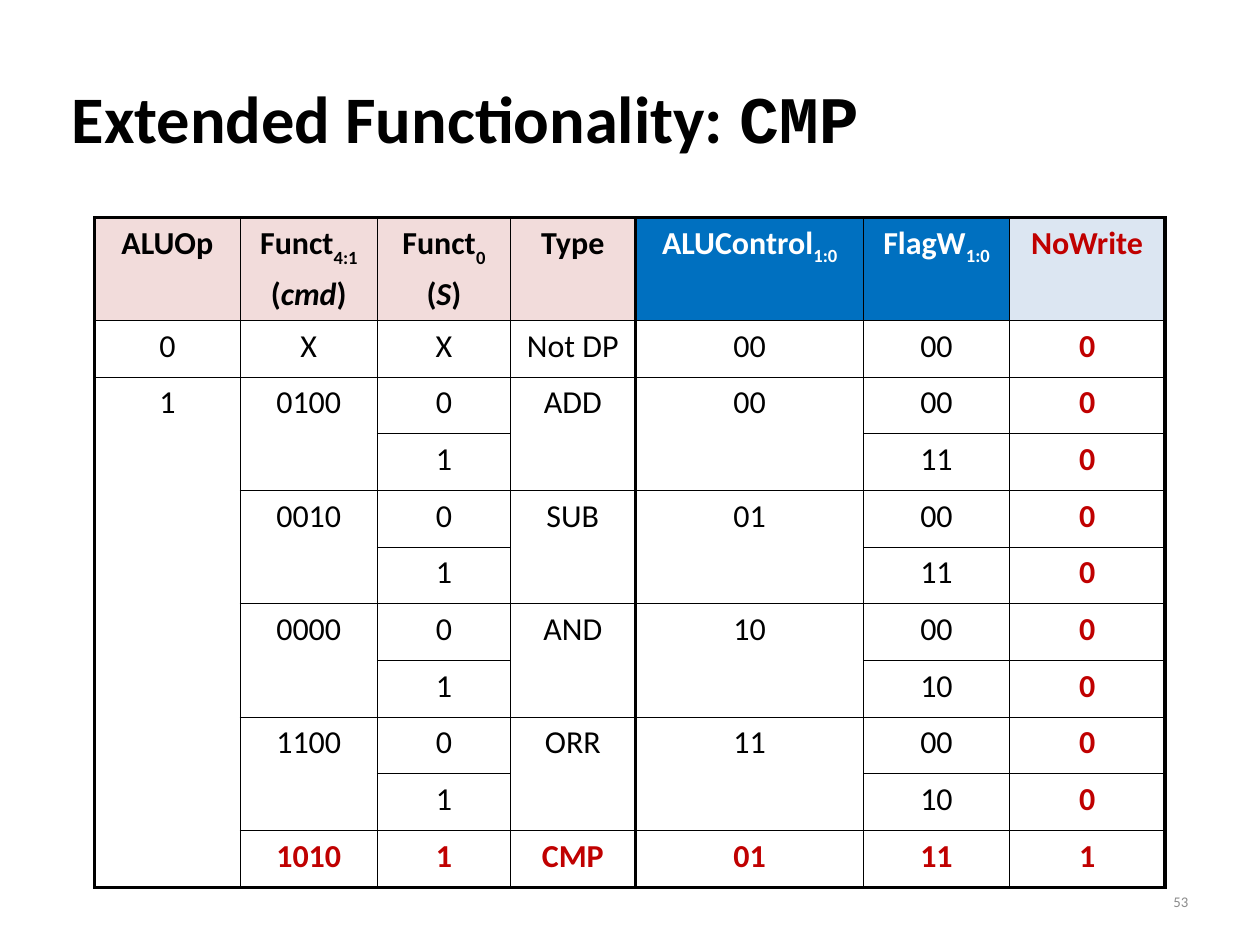
"""Build the slide with the extended ALU decoder table for CMP."""
from dataclasses import dataclass

from lxml import etree
from pptx import Presentation
from pptx.dml.color import RGBColor
from pptx.enum.text import MSO_ANCHOR, PP_ALIGN
from pptx.oxml.ns import qn
from pptx.util import Inches, Pt

LEFT, CENTER, RIGHT = PP_ALIGN.LEFT, PP_ALIGN.CENTER, PP_ALIGN.RIGHT
MIDDLE = MSO_ANCHOR.MIDDLE


@dataclass(frozen=True)
class Theme:
    sans: str = "Calibri"
    mono: str = "Courier New"
    black: str = "000000"
    white: str = "FFFFFF"
    red: str = "C00000"
    gray: str = "8C8C8C"
    pink: str = "F2DCDB"
    blue: str = "0070C0"
    pale: str = "DCE6F2"
    head: int = 54
    cell: int = 26
    note: int = 12
    thin: int = 1
    thick: int = 3


T = Theme()


def add_run(para, text, size, color, bold=False, face=T.sans, slant=False, base=0):
    run = para.add_run()
    run.text = text
    font = run.font
    font.size, font.name, font.bold, font.italic = Pt(size), face, bold, slant
    font.color.rgb = RGBColor.from_string(color)
    if base:
        run._r.get_or_add_rPr().set("baseline", str(base * 1000))


def add_edge(cell, side, width):
    line = etree.SubElement(cell._tc.get_or_add_tcPr(), qn("a:ln" + side), w=str(Pt(width)))
    fill = etree.SubElement(line, qn("a:solidFill"))
    etree.SubElement(fill, qn("a:srgbClr"), val=T.black)


deck = Presentation()
deck.slide_width, deck.slide_height = Inches(14.22), Inches(10.67)
slide = deck.slides.add_slide(deck.slide_layouts[5])

title = slide.shapes.title
title.left, title.top = Inches(0.71), Inches(0.43)
title.width, title.height = Inches(12.8), Inches(1.78)
title.text_frame.vertical_anchor = MIDDLE
para = title.text_frame.paragraphs[0]
para.alignment = LEFT
add_run(para, "Extended Functionality: ", T.head, T.black, True)
add_run(para, "CMP", T.head, T.black, True, T.mono)

# Each heading: fill, text colour, then lines of (text, baseline, italic).
heads = [
    (T.pink, T.black, [[("ALUOp", 0, False)]]),
    (T.pink, T.black, [[("Funct", 0, False), ("4:1", -30, False)],
                       [("(", 0, False), ("cmd", 0, True), (")", 0, False)]]),
    (T.pink, T.black, [[("Funct", 0, False), ("0", -30, False)],
                       [("(", 0, False), ("S", 0, True), (")", 0, False)]]),
    (T.pink, T.black, [[("Type", 0, False)]]),
    (T.blue, T.white, [[("ALUControl", 0, False), ("1:0", -25, False)]]),
    (T.blue, T.white, [[("FlagW", 0, False), ("1:0", -25, False)]]),
    (T.pale, T.red, [[("NoWrite", 0, False)]]),
]
ops = [("0100", "ADD", "00", "11"), ("0010", "SUB", "01", "11"),
       ("0000", "AND", "10", "10"), ("1100", "ORR", "11", "10")]
rows = [["0", "X", "X", "Not DP", "00", "00", "0"]]
for code, kind, ctrl, flag in ops:
    rows.append(["", code, "0", kind, ctrl, "00", "0"])
    rows.append(["", "", "1", "", "", flag, "0"])
rows.append(["", "1010", "1", "CMP", "01", "11", "1"])
rows[1][0] = "1"

wide = [1.64, 1.55, 1.5, 1.41, 2.58, 1.64, 1.76]
last, end = len(rows), len(wide) - 1
grid = slide.shapes.add_table(last + 1, end + 1, Inches(1.07), Inches(2.46),
                              Inches(12.09), Inches(7.46)).table
grid.first_row = grid.horz_banding = False
for col, width in zip(grid.columns, wide):
    col.width = Inches(width)
for r, row in enumerate(grid.rows):
    row.height = Inches(0.64 if r else 1.07)

grid.cell(2, 0).merge(grid.cell(last, 0))
for r in range(2, last, 2):
    for c in (1, 3, 4):
        grid.cell(r, c).merge(grid.cell(r + 1, c))

for r in range(last + 1):
    for c, (fill, color, lines) in enumerate(heads):
        cell = grid.cell(r, c)
        cell.margin_left = cell.margin_right = Inches(0.14)
        cell.margin_top = cell.margin_bottom = Inches(0.07)
        foot = r == last or (r, c) == (2, 0)
        for side, bold in (("L", c in (0, 4)), ("R", c in (3, end)),
                           ("T", r == 0), ("B", foot)):
            add_edge(cell, side, T.thick if bold else T.thin)
        if r == 0:
            cell.fill.solid()
            cell.fill.fore_color.rgb = RGBColor.from_string(fill)
        else:
            cell.fill.background()
            color = T.red if c == end or r == last else T.black
            lines = [[(rows[r - 1][c], 0, False)]]
        if cell.is_spanned:
            continue
        for n, line in enumerate(lines):
            frame = cell.text_frame
            para = frame.add_paragraph() if n else frame.paragraphs[0]
            para.alignment = CENTER
            if n:
                para.space_before = Pt(5)
            for text, base, slant in line:
                add_run(para, text, T.cell, color, r == 0 or color == T.red,
                        slant=slant, base=base)

note = slide.shapes.add_textbox(Inches(10.19), Inches(9.89), Inches(3.32), Inches(0.57))
note.text_frame.word_wrap = True
note.text_frame.vertical_anchor = MIDDLE
para = note.text_frame.paragraphs[0]
para.alignment = RIGHT
add_run(para, "53", T.note, T.gray)

deck.save("out.pptx")
